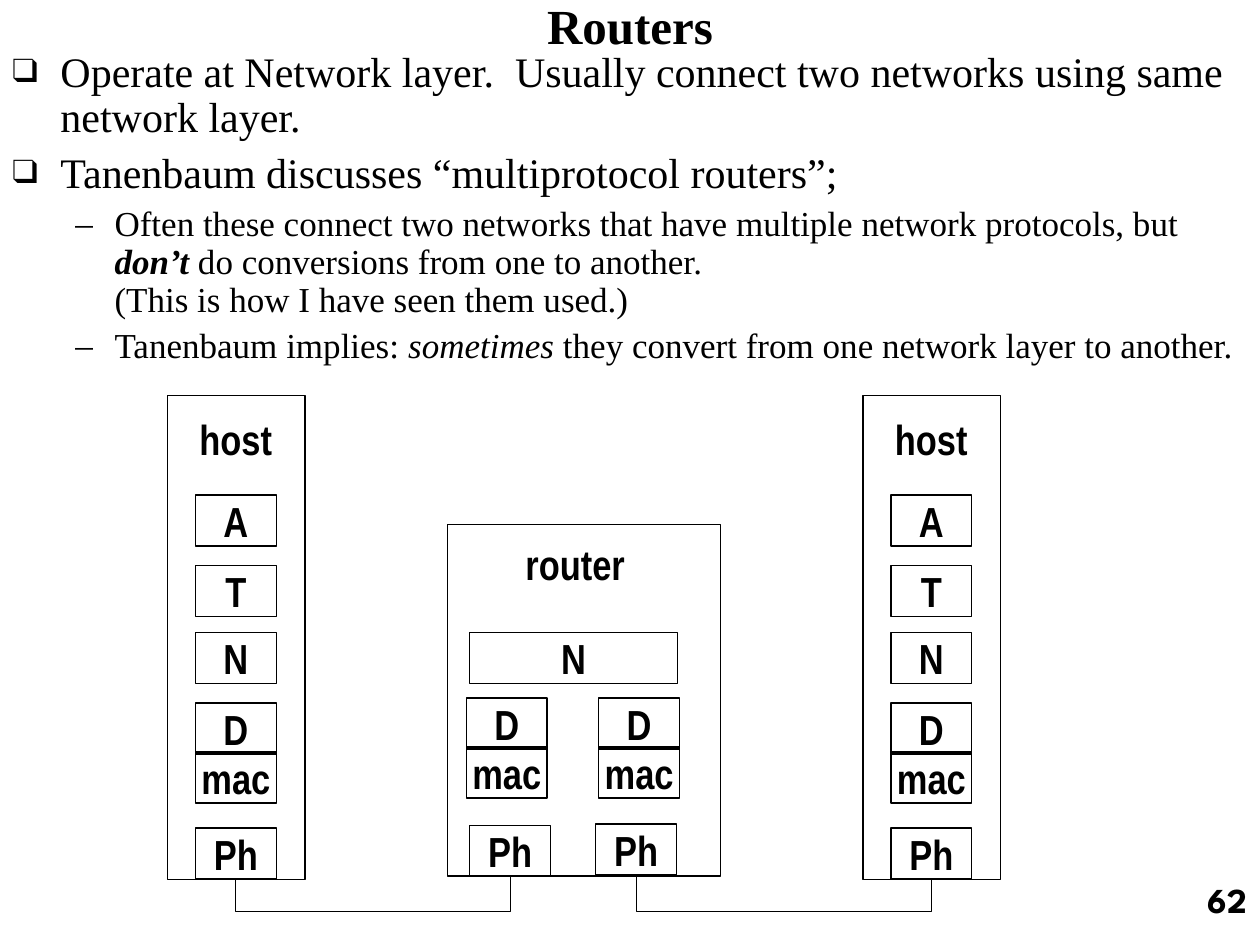
from lxml.etree import SubElement
from pptx import Presentation
from pptx.dml.color import RGBColor
from pptx.enum.shapes import MSO_CONNECTOR as Link, MSO_SHAPE as Shape
from pptx.enum.text import MSO_ANCHOR as Anchor, PP_ALIGN as Align
from pptx.oxml.ns import qn
from pptx.util import Cm, Pt

COLORS = {"ink": "000000"}
SERIF, LABEL, NUMBER = "Times New Roman", "Arial Narrow", "League Spartan"
BOX_W, BOX_H = 1.63, 1.03
LEVELS = [
    {"size": 24, "margin": 0.97, "indent": -0.97, "before": 6, "bullet": "❑", "scale": 80},
    {"size": 20, "margin": 2.06, "indent": -0.79, "before": 5, "bullet": "–", "scale": 100},
]
POINTS = [
    (0, [("Operate at Network layer.  Usually connect two networks using same network layer.", "")]),
    (0, [("Tanenbaum discusses “multiprotocol routers”;", "")]),
    (1, [("Often these connect two networks that have multiple network protocols, but ", ""),
         ("don’t", "bi"),
         (" do conversions from one to another.", ""),
         ("\n", ""),
         ("(This is how I have seen them used.)", "")]),
    (1, [("Tanenbaum implies: ", ""),
         ("sometimes", "i"),
         (" they convert from one network layer to another.", "")]),
]
HOST_LAYERS = [("A", 9.98), ("T", 11.4), ("N", 12.75), ("D", 14.17), ("mac", 15.16), ("Ph", 16.69)]


class SlideBuilder:
    def __init__(self, slide):
        self.slide = slide
        self.ink = RGBColor.from_string(COLORS["ink"])

    def format_run(self, run, font, size, bold=False, italic=False):
        run.font.name = font
        run.font.size = Pt(size)
        run.font.bold = bold
        run.font.italic = italic
        run.font.color.rgb = self.ink

    def outline(self, line):
        line.color.rgb = self.ink
        line.width = Pt(0.75)

    def text(self, words, x, y, w, h, font, size, align=Align.CENTER, anchor=Anchor.MIDDLE):
        box = self.slide.shapes.add_textbox(Cm(x), Cm(y), Cm(w), Cm(h))
        self.fill_text(box.text_frame, words, font, size, align, anchor)
        return box.text_frame

    def fill_text(self, frame, words, font, size, align, anchor):
        frame.text = words
        frame.word_wrap = True
        frame.vertical_anchor = anchor
        paragraph = frame.paragraphs[0]
        paragraph.alignment = align
        for run in paragraph.runs:
            self.format_run(run, font, size, bold=True)

    def tighten(self, frame):
        frame.word_wrap = False
        frame.margin_left = frame.margin_right = 0
        frame.margin_top = frame.margin_bottom = 0

    def label(self, words, x, y, w):
        self.tighten(self.text(words, x, y, w, 1.02, LABEL, 24))

    def box(self, x, y, w=BOX_W, h=BOX_H, words=""):
        rect = self.slide.shapes.add_shape(Shape.RECTANGLE, Cm(x), Cm(y), Cm(w), Cm(h))
        rect.shadow.inherit = False
        rect.fill.background()
        self.outline(rect.line)
        if words:
            self.fill_text(rect.text_frame, words, LABEL, 24, Align.CENTER, Anchor.MIDDLE)
            self.tighten(rect.text_frame)
        return rect

    def bullets(self, points, x, y, w, h):
        frame = self.slide.shapes.add_textbox(Cm(x), Cm(y), Cm(w), Cm(h)).text_frame
        frame.word_wrap = True
        for index, (level, pieces) in enumerate(points):
            style = LEVELS[level]
            paragraph = frame.add_paragraph() if index else frame.paragraphs[0]
            paragraph.level = level
            paragraph.line_spacing = 0.9
            paragraph.space_before = Pt(style["before"] if index else 0)
            props = paragraph._p.get_or_add_pPr()
            props.set("marL", str(Cm(style["margin"])))
            props.set("indent", str(Cm(style["indent"])))
            color = SubElement(props, qn("a:buClr"))
            SubElement(color, qn("a:srgbClr"), val=COLORS["ink"])
            SubElement(props, qn("a:buSzPct"), val=str(style["scale"] * 1000))
            SubElement(props, qn("a:buFont"), typeface=SERIF)
            SubElement(props, qn("a:buChar"), char=style["bullet"])
            for words, marks in pieces:
                if words == "\n":
                    paragraph.add_line_break()
                    continue
                run = paragraph.add_run()
                run.text = words
                self.format_run(run, SERIF, style["size"], "b" in marks, "i" in marks)

    def cable(self, start, end, drop):
        x1, x2 = (port.left + port.width // 2 for port in (start, end))
        y1, y2 = (port.top + port.height for port in (start, end))
        span, rise = abs(x2 - x1), y1 - y2
        left, top = (x1 + x2 - rise) // 2, (y1 + y2 - span) // 2
        rightward = x2 > x1
        near, far = (left + rise, left) if rightward else (left, left + rise)
        wire = self.slide.shapes.add_connector(Link.ELBOW, near, top + span, far, top)
        self.outline(wire.line)
        props = wire._element.spPr
        props.find(qn("a:xfrm")).set("rot", str((90 if rightward else 270) * 60000))
        guides = props.find(qn("a:prstGeom")).get_or_add_avLst()
        bend = round(-Cm(drop) / rise * 100000)
        SubElement(guides, qn("a:gd"), name="adj1", fmla=f"val {bend}")
        SubElement(props, qn("a:effectLst"))

    def host(self, x):
        self.box(x, 7.98, 2.77, 9.75)
        self.label("host", x + 0.64, 8.33, 1.47)
        for layer, y in HOST_LAYERS:
            port = self.box(x + 0.56, y, words=layer)
        return port

    def router(self):
        self.box(9.02, 10.57, 5.51, 7.09)
        self.label("router", 10.59, 10.85, 2.01)
        self.box(9.47, 12.75, w=4.19, words="N")
        for x in (9.4, 12.07):
            self.box(x, 14.07, words="D")
            self.box(x, 15.06, words="mac")
        return [self.box(x, y, words="Ph") for x, y in ((9.47, 16.64), (12.01, 16.61))]


def main():
    deck = Presentation()
    deck.slide_width, deck.slide_height = Cm(25.4), Cm(19.05)
    builder = SlideBuilder(deck.slides.add_slide(deck.slide_layouts[6]))
    builder.text("62", 20.12, 17.58, 5.28, 1.27, NUMBER, 20, Align.RIGHT, Anchor.TOP)
    builder.text("Routers", 1.9, 0, 21.6, 1.02, SERIF, 28)
    builder.bullets(POINTS, 0, 0.91, 25.4, 8.43)
    left_host, right_host = builder.host(3.38), builder.host(17.4)
    left_port, right_port = builder.router()
    builder.cable(left_host, left_port, 0.65)
    builder.cable(right_host, right_port, 0.65)
    deck.save("out.pptx")


if __name__ == "__main__":
    main()
